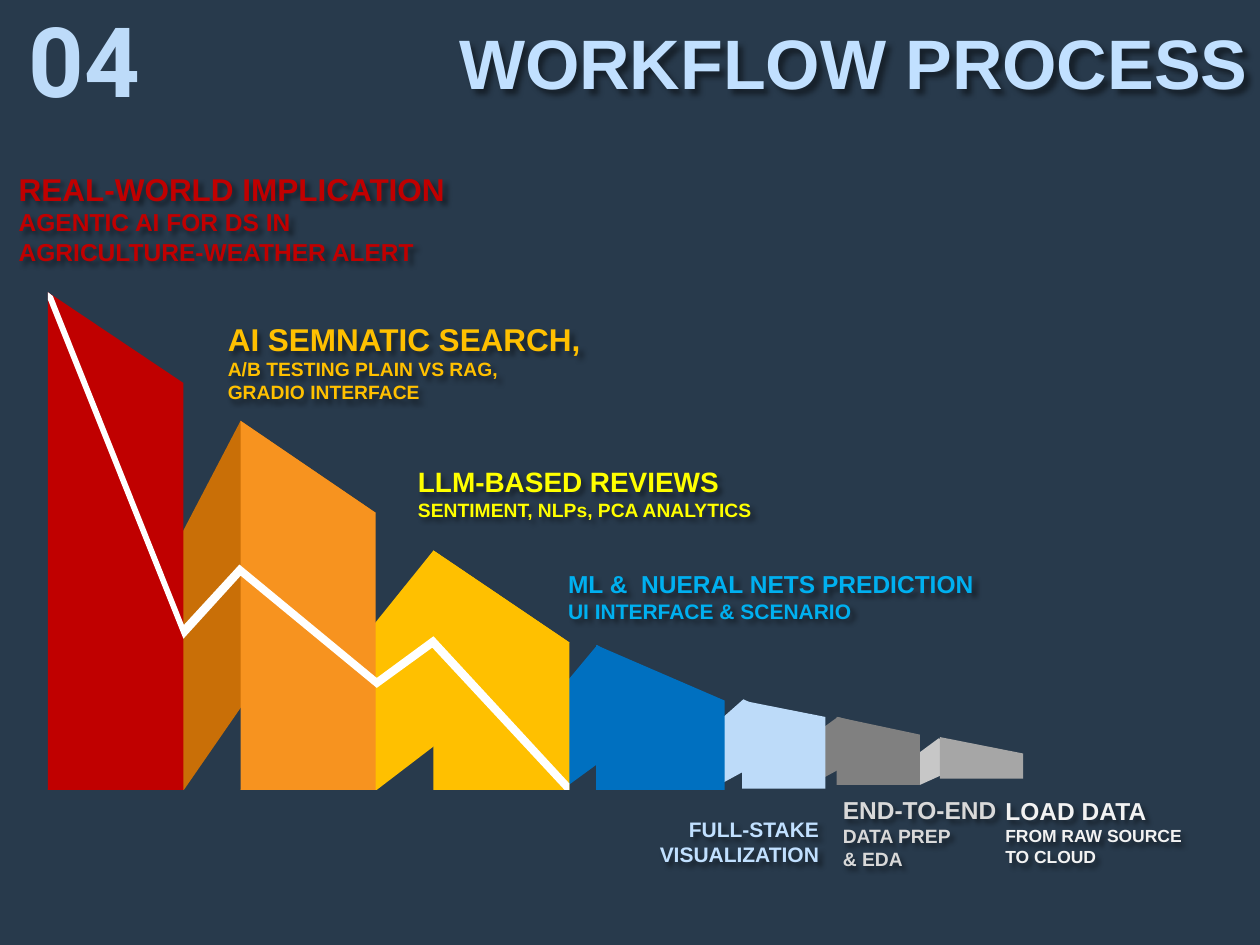
from lxml import etree
from pptx import Presentation
from pptx import util as u
from pptx.dml.color import RGBColor
from pptx.enum import text
from pptx.oxml.ns import nsdecls

NAVY = RGBColor(0x28, 0x3A, 0x4C)
SKY = RGBColor(0xC1, 0xE0, 0xFF)
PALE_BLUE = RGBColor(0xBD, 0xDB, 0xF9)
BLUE = RGBColor(0x00, 0x70, 0xC0)
CYAN = RGBColor(0x00, 0xB0, 0xF0)
RED = RGBColor(0xC0, 0x00, 0x00)
ORANGE = RGBColor(0xF7, 0x93, 0x1F)
BROWN = RGBColor(0xC9, 0x6F, 0x07)
GOLD = RGBColor(0xFF, 0xC0, 0x00)
YELLOW = RGBColor(0xFF, 0xFF, 0x00)
GRAY = RGBColor(0x80, 0x80, 0x80)
MID_GRAY = RGBColor(0xA6, 0xA6, 0xA6)
SILVER = RGBColor(0xC7, 0xC7, 0xC7)
LIGHT_GRAY = RGBColor(0xD9, 0xD9, 0xD9)
OFF_WHITE = RGBColor(0xF2, 0xF2, 0xF2)
WHITE = RGBColor(0xFF, 0xFF, 0xFF)

LEFT, RIGHT = text.PP_ALIGN.LEFT, text.PP_ALIGN.RIGHT

# Folded sides: colour, peak, base left, base right, base y, shoulder
SIDES = [
    (PALE_BLUE, (424.8, 399.6), 367.9, 408.2, 450, (465.1, 419)),
    (BLUE, (341.3, 368.6), 272.2, 321.1, 451.4, (391, 400.3)),
    (SILVER, (536.4, 421.9), 500.4, 525.6, 448.6, (562.3, 432)),
    (GRAY, (478.8, 409.7), 425.5, 463, 448.6, (516.2, 419.8)),
    (GOLD, (247.7, 314.6), 137.5, 215.3, 451.4, (325.4, 367.2)),
    (BROWN, (137.5, 240.5), 27.4, 105.1, 451.4, (214.6, 293)),
]
# Front faces: colour, left, right, top at left, top at right, bottom
FRONTS = [
    (PALE_BLUE, 424.1, 471.6, 400.3, 409.7, 450.7),
    (GRAY, 478.1, 525.6, 409.7, 419.8, 448.6),
    (MID_GRAY, 537.1, 584.6, 421.2, 430.6, 445),
    (RED, 27.4, 104.8, 167, 218.9, 451.4),
    (ORANGE, 137.5, 214.6, 240.5, 293, 451.4),
    (GOLD, 247.7, 325.4, 314.6, 367.2, 451.4),
    (BLUE, 340.6, 414, 368.6, 400.3, 451.4),
]
TREND = [
    (322.6, 451.4), (325.4, 451.4), (325.4, 447.8), (247.7, 363.6),
    (215.3, 387.4), (136.8, 322.6), (105.1, 357.1), (30.2, 169.2),
    (27.4, 167), (27.4, 171.4), (104.8, 365), (137.5, 329),
    (215.3, 393.1), (247, 370.1),
]
# Labels: left, top, width, height, colour, alignment, paragraphs of (text, size) runs
LABELS = [
    (29.5, 5, 690.5, 60.5, SKY, RIGHT, [[("WORKFLOW PROCESS", 40)]]),
    (567.4, 445, 136, 60.5, OFF_WHITE, LEFT,
     [[("LOAD DATA", 14)], [("FROM RAW SOURCE", 10)], [("TO CLOUD", 10)]]),
    (474.5, 445.7, 106, 60.5, LIGHT_GRAY, LEFT,
     [[("END-TO-END", 14)], [("DATA PREP", 11)], [("& EDA", 11)]]),
    (333.4, 450.7, 141.8, 60.5, SKY, RIGHT,
     [[("FULL-STAKE", 12)], [("VISUALIZATION", 12)]]),
    (317.5, 310.3, 260.6, 60.5, CYAN, LEFT,
     [[("ML &  NUERAL NETS PREDICTION", 14)], [("UI INTERFACE & SCENARIO", 12)]]),
    (231.8, 251.3, 218.9, 60.5, YELLOW, LEFT,
     [[("LLM-BASED REVIEWS ", 16), ("SENTIMENT, NLPs, PCA ANALYTICS", 11)]]),
    (123.1, 176.4, 280.8, 60.5, GOLD, LEFT,
     [[("AI SEMNATIC SEARCH,", 18)], [("A/B TESTING PLAIN VS RAG,", 11)],
      [("GRADIO INTERFACE", 11)]]),
    (3.6, 94.3, 267.1, 60.5, RED, LEFT,
     [[("REAL-WORLD IMPLICATION ", 18),
       ("AGENTIC AI FOR DS IN AGRICULTURE-WEATHER ALERT", 14)]]),
]

OUTLINE = (f'<a:ln {nsdecls("a")} w="9525"><a:solidFill><a:srgbClr val="404040">'
           '<a:alpha val="10000"/></a:srgbClr></a:solidFill></a:ln>')
SHADOW = (f'<a:effectLst {nsdecls("a")}><a:outerShdw blurRad="38100" dist="38100" '
          'dir="2700000" algn="tl"><a:srgbClr val="000000"><a:alpha val="43000"/>'
          '</a:srgbClr></a:outerShdw></a:effectLst>')


def add_polygon(page, color, points):
    start, *rest = [(u.Pt(x), u.Pt(y)) for x, y in points]
    builder = page.shapes.build_freeform(*start)
    builder.add_line_segments(rest, close=True)
    shape = builder.convert_to_shape()
    shape.fill.solid()
    shape.fill.fore_color.rgb = color
    shape.line.fill.background()
    shape.shadow.inherit = False


def add_label(page, left, top, width, height, color, align, paragraphs,
              font="Arial", spacing=None, effects=True):
    box = page.shapes.add_textbox(u.Pt(left), u.Pt(top), u.Pt(width), u.Pt(height))
    if effects:
        box.element.spPr.append(etree.fromstring(SHADOW))
    frame = box.text_frame
    frame.word_wrap = True
    frame.vertical_anchor = text.MSO_ANCHOR.MIDDLE
    for index, runs in enumerate(paragraphs):
        para = frame.add_paragraph() if index else frame.paragraphs[0]
        para.alignment = align
        para.line_spacing = spacing
        for words, size in runs:
            span = para.add_run()
            span.text = words
            formats = {"name": font, "size": u.Pt(size), "bold": True}
            for key, value in formats.items():
                setattr(span.font, key, value)
            span.font.color.rgb = color
            if effects:
                span._r.rPr.insert(0, etree.fromstring(OUTLINE))


deck = Presentation()
deck.slide_width, deck.slide_height = u.Pt(720), u.Pt(540)
page = deck.slides.add_slide(deck.slide_layouts[6])
page.background.fill.solid()
page.background.fill.fore_color.rgb = NAVY

# Folded columns, sides behind fronts
for color, peak, base_left, base_right, base, shoulder in SIDES:
    add_polygon(page, color, [peak, (base_left, base), (base_right, base), shoulder])
for color, left, right, top_left, top_right, bottom in FRONTS:
    add_polygon(page, color, [(right, top_right), (right, bottom),
                              (left, bottom), (left, top_left)])

# Trend line across the tall columns
add_polygon(page, WHITE, TREND)

# Section number, title and step labels
add_label(page, 9.4, -14.4, 89.3, 104.4, PALE_BLUE, LEFT, [[("04", 55.5)]],
          font="Roboto", spacing=0.9, effects=False)
for label in LABELS:
    add_label(page, *label)

deck.save("out.pptx")
